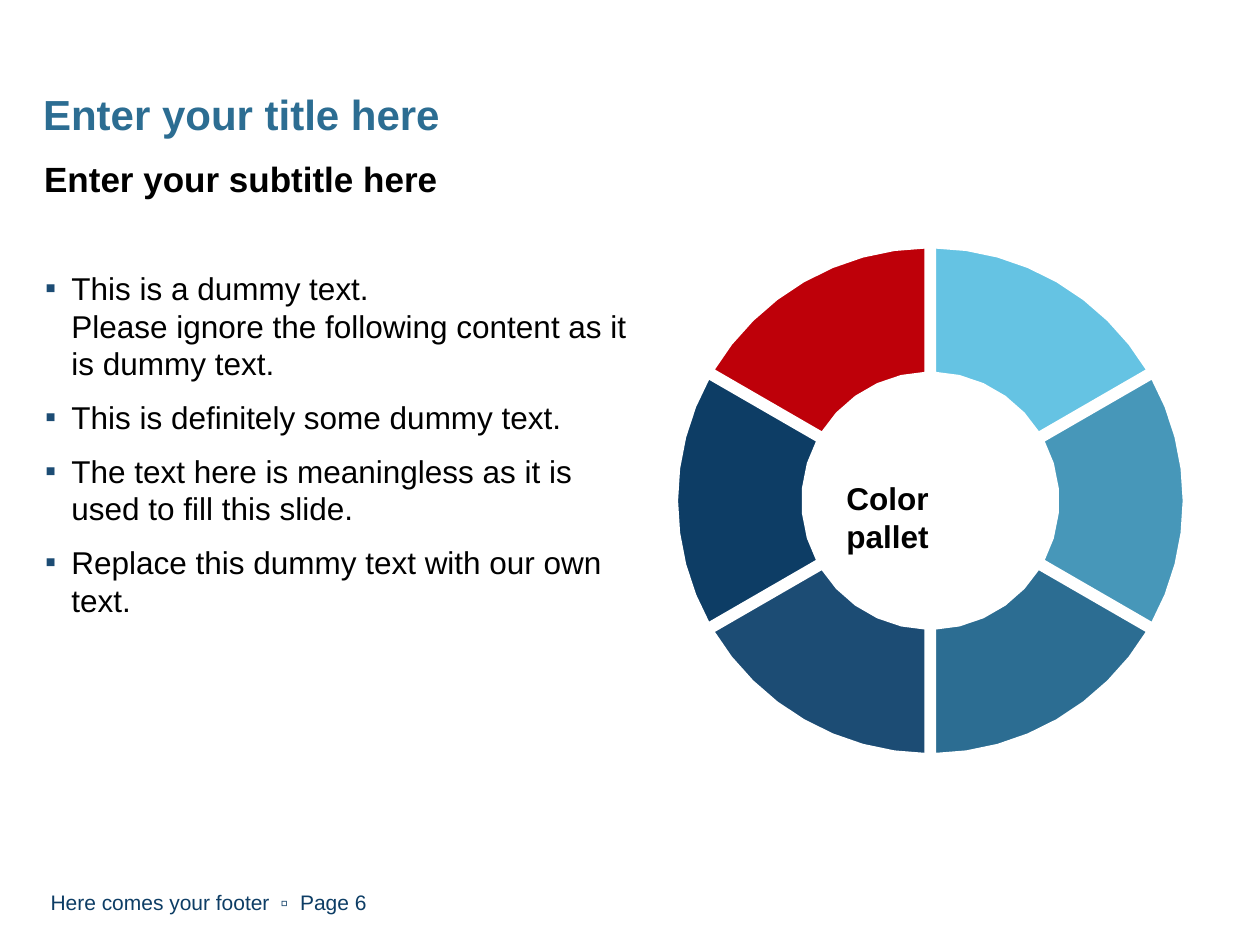
from math import asin, cos, pi, sin

from lxml import etree
from pptx import Presentation
from pptx.dml.color import RGBColor
from pptx.enum.shapes import MSO_SHAPE
from pptx.enum.text import MSO_ANCHOR
from pptx.oxml.ns import qn
from pptx.util import Cm, Pt

OVAL = MSO_SHAPE.OVAL
MIDDLE = MSO_ANCHOR.MIDDLE

FONT = "Arial"
COLORS = {
    "sky": "65C3E3",
    "light": "4797B9",
    "teal": "2C6D92",
    "blue": "1C4C74",
    "navy": "0D3D65",
    "red": "BE0009",
    "white": "FFFFFF",
    "black": "000000",
}
# Clockwise from the top
SEGMENTS = ["sky", "light", "teal", "blue", "navy", "red"]
BULLETS = [
    "This is a dummy text.\vPlease ignore the following content as it is dummy text.",
    "This is definitely some dummy text.",
    "The text here is meaningless as it is used to fill this slide.",
    "Replace this dummy text with our own text.",
]


def color(name):
    return RGBColor.from_string(COLORS[name])


def add_text(slide, box, lines, size, color_name, bold=False, inset=(0, 0.13)):
    """Add a text box with one paragraph per line; box and insets are in cm."""
    shape = slide.shapes.add_textbox(*map(Cm, box))
    frame = shape.text_frame
    frame.word_wrap = True
    frame.margin_left = frame.margin_right = Cm(inset[0])
    frame.margin_top = frame.margin_bottom = Cm(inset[1])
    frame.text = "\n".join(lines)
    for paragraph in frame.paragraphs:
        font = paragraph.font
        font.name, font.size, font.bold = FONT, Pt(size), bold
        font.color.rgb = color(color_name)
    return frame


def add_headings(slide, left, top, width):
    title = add_text(slide, (left, top, width, 1.68),
                     ["Enter your title here"], 24, "teal", bold=True)
    title.paragraphs[0].line_spacing = 0.95
    subtitle = add_text(slide, (left + 0.02, top + 1.37, 15.98, 0.99),
                        ["Enter your subtitle here"], 20, "black", bold=True, inset=(0, 0))
    subtitle.vertical_anchor = MIDDLE


def add_bullets(slide, left, top, width, height):
    frame = add_text(slide, (left, top, width, height), BULLETS, 18, "black")
    for index, paragraph in enumerate(frame.paragraphs):
        if index:
            paragraph.space_before = Pt(9)
        properties = paragraph._p.get_or_add_pPr()
        properties.set("marL", str(Cm(0.53)))
        properties.set("indent", str(-Cm(0.53)))
        bullet_color = etree.Element(qn("a:buClr"))
        etree.SubElement(bullet_color, qn("a:srgbClr"), val=COLORS["blue"])
        bullet_font = etree.Element(qn("a:buFont"), typeface=FONT)
        bullet = etree.Element(qn("a:buChar"), char="▪")
        # Bullet elements come before the default run properties
        defaults = properties.find(qn("a:defRPr"))
        for element in (bullet_color, bullet_font, bullet):
            defaults.addprevious(element)


def add_segment(slide, center, radii, half_gap, start, end, color_name):
    """Draw a ring segment whose straight edges run parallel to the gaps."""

    def arc(radius, steps):
        trim = asin(half_gap / radius)
        first, last = start + trim, end - trim
        angles = [first + (last - first) * step / steps for step in range(steps + 1)]
        return [(Cm(center[0] + radius * sin(angle)), Cm(center[1] - radius * cos(angle)))
                for angle in angles]

    points = arc(radii[0], 8) + arc(radii[1], 5)[::-1]
    builder = slide.shapes.build_freeform(*points[0], scale=1.0)
    builder.add_line_segments(points[1:], close=True)
    shape = builder.convert_to_shape()
    shape.shadow.inherit = False
    shape.fill.solid()
    shape.fill.fore_color.rgb = color(color_name)
    shape.line.color.rgb = color("white")
    shape.line.width = Pt(2.25)


def add_ring(slide, left, top, size):
    radius = size / 2
    center = (left + radius, top + radius)
    sweep = 2 * pi / len(SEGMENTS)
    for index, name in enumerate(SEGMENTS):
        add_segment(slide, center, (radius, radius / 2), 0.08,
                    index * sweep, (index + 1) * sweep, name)

    # Hub and its label
    hub = 2.13
    circle = slide.shapes.add_shape(
        OVAL, Cm(center[0] - hub), Cm(center[1] - hub), Cm(2 * hub), Cm(2 * hub))
    circle.shadow.inherit = False
    circle.fill.solid()
    circle.fill.fore_color.rgb = color("white")
    circle.line.fill.background()
    label = add_text(slide, (center[0] - 1.94, center[1] - 0.57, 3.99, 1.02),
                     ["Color pallet"], 18, "black", bold=True, inset=(0.25, 0.13))
    label.word_wrap = False


def add_footer(slide, left, top, width, height):
    frame = add_text(slide, (left, top, width, height),
                     ["Here comes your footer\t▫\tPage 6"], 12, "navy", inset=(0.25, 0.13))
    paragraph = frame.paragraphs[0]
    tabs = etree.Element(qn("a:tabLst"))
    for position in (4.64, 5.03):
        etree.SubElement(tabs, qn("a:tab"), pos=str(Cm(position)), algn="l")
    paragraph._p.get_or_add_pPr().find(qn("a:defRPr")).addprevious(tabs)


def main():
    presentation = Presentation()
    presentation.slide_width, presentation.slide_height = Cm(25.4), Cm(19.05)
    slide = presentation.slides.add_slide(presentation.slide_layouts[6])
    add_footer(slide, 0.77, 17.81, 7.67, 0.69)
    add_headings(slide, 0.87, 1.73, 23.65)
    add_ring(slide, 13.63, 4.97, 10.25)
    add_bullets(slide, 0.91, 5.29, 11.96, 9.68)
    presentation.save("out.pptx")


if __name__ == "__main__":
    main()
